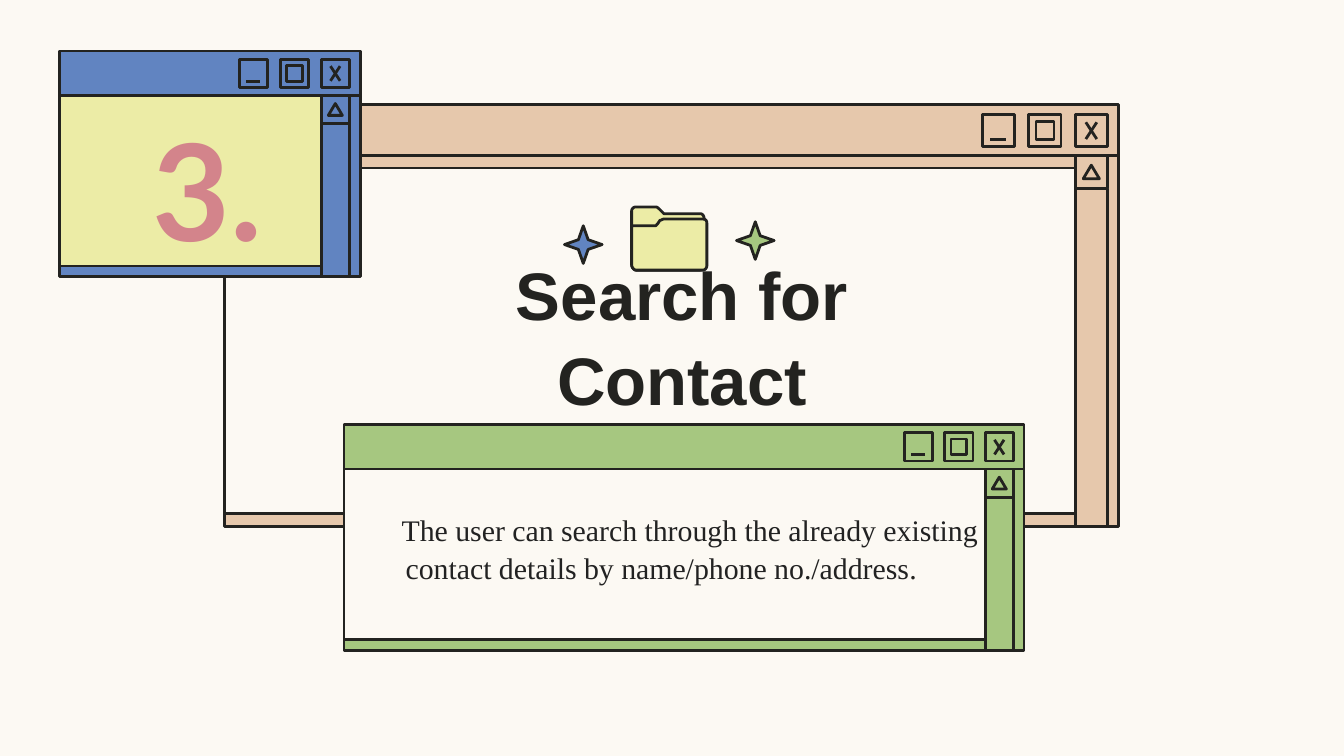
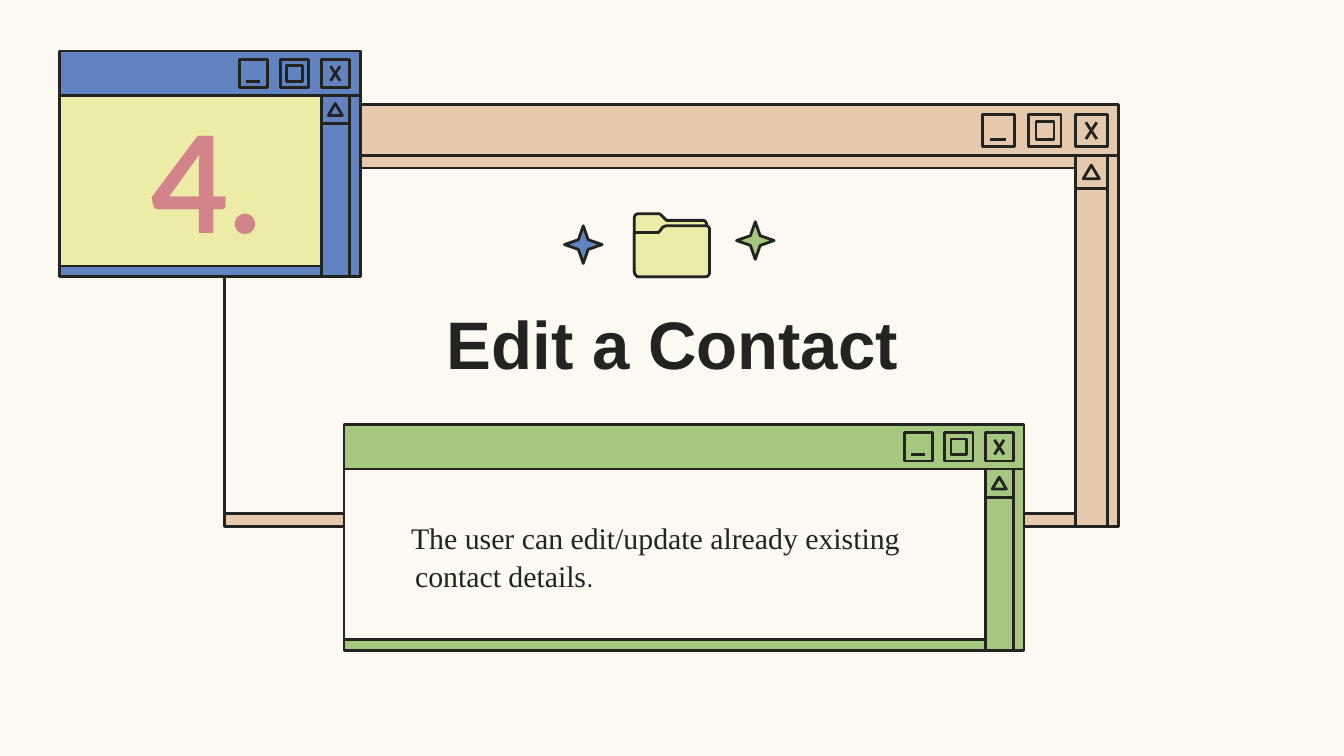
from dataclasses import dataclass
from typing import Any, NamedTuple

from lxml.etree import SubElement
from pptx import Presentation
from pptx.dml.color import RGBColor
from pptx.enum.shapes import MSO_CONNECTOR, MSO_SHAPE as Preset
from pptx.enum.text import MSO_ANCHOR as Anchor, MSO_AUTO_SIZE as AutoSize, PP_ALIGN as Align
from pptx.oxml.ns import qn
from pptx.util import Inches, Pt


# Colours, fonts and sizes
@dataclass(frozen=True)
class Theme:
    paper: str = "FCF9F3"
    ink: str = "232320"
    body_ink: str = "222222"
    peach: str = "E6C8AC"
    green: str = "A6C780"
    blue: str = "6184C1"
    yellow: str = "ECECA6"
    rose: str = "D3848B"
    sans: str = "Arial"
    serif: str = "Times New Roman"
    display: str = "Lato"
    title_size: int = 36
    number_size: int = 72
    body_size: int = 16
    small_size: int = 14
    outline_width: float = 1.5
    line_spacing: float = 1.05


THEME = Theme()


class Box(NamedTuple):
    left: float
    top: float
    width: float
    height: float


class TextRun(NamedTuple):
    text: str
    size: int
    font: str
    color: str
    bold: bool = False


@dataclass(frozen=True)
class TextBlock:
    box: Box
    runs: tuple[TextRun, ...]
    align: Align = Align.CENTER
    side_inset: float = 0.1
    bottom_inset: float = 0.1
    margin: float = 0
    indent: float = 0


@dataclass(frozen=True)
class Window:
    left: float
    top: float
    width: float
    bar_height: float
    body_height: float
    button: float
    pitch: float
    rail_offset: float
    pane_gap: float
    pane_height: float
    color: str
    pane_color: str = THEME.paper


@dataclass(frozen=True)
class FeatureSlide:
    title: TextBlock
    number: TextBlock
    body: TextBlock
    folder_left: float
    folder_top: float


WINDOWS = (
    Window(1.67, 0.78, 6.65, 0.38, 2.76, 0.24, 0.345, 0.32, 0.09, 2.57, THEME.peach),
    Window(2.56, 3.16, 5.06, 0.33, 1.35, 0.21, 0.3, 0.29, 0, 1.27, THEME.green),
    Window(0.44, 0.38, 2.24, 0.33, 1.35, 0.21, 0.305, 0.29, 0, 1.27, THEME.blue, THEME.yellow),
)
SPARKLES = (
    (Box(5.48, 1.65, 0.28, 0.28), THEME.green),
    (Box(4.2, 1.68, 0.28, 0.28), THEME.blue),
)
# Folder outlines: pairs are corners, six values are a Bézier curve
FOLDER_BACK = (
    (0.03, 0), (0.02, 0, 0, 0.01, 0, 0.03), (0, 0.43),
    (0, 0.45, 0.02, 0.47, 0.03, 0.47), (0.51, 0.47),
    (0.53, 0.47, 0.54, 0.45, 0.54, 0.43), (0.54, 0.09),
    (0.54, 0.07, 0.53, 0.05, 0.51, 0.05), (0.24, 0.05),
    (0.24, 0.05, 0.22, 0.03, 0.21, 0.02), (0.2, 0.01, 0.19, 0, 0.18, 0),
)
FOLDER_FRONT = (
    (0.24, 0.09), (0.23, 0.09, 0.22, 0.1, 0.21, 0.1),
    (0.2, 0.12, 0.18, 0.14, 0.18, 0.14), (0, 0.14), (0, 0.43),
    (0, 0.45, 0.02, 0.47, 0.03, 0.47), (0.53, 0.47),
    (0.55, 0.47, 0.56, 0.45, 0.56, 0.44), (0.56, 0.12),
    (0.56, 0.1, 0.55, 0.09, 0.53, 0.09),
)


def title_block(box: Box, text: str) -> TextBlock:
    run = TextRun(text, THEME.title_size, THEME.sans, THEME.ink, True)
    return TextBlock(box, (run,), bottom_inset=0.7)


def number_block(box: Box, text: str, bottom_inset: float = 0.1) -> TextBlock:
    run = TextRun(text, THEME.number_size, THEME.display, THEME.rose, True)
    return TextBlock(box, (run,), side_inset=0, bottom_inset=bottom_inset)


def body_block(box: Box, *runs: TextRun, bottom_inset: float = 0.1) -> TextBlock:
    return TextBlock(box, runs, Align.LEFT, bottom_inset=bottom_inset, margin=0.5, indent=-0.03)


FEATURES = (
    FeatureSlide(
        title_block(Box(2.75, 2.35, 4.65, 0.87), "Search for Contact"),
        number_block(Box(1.03, 0.91, 1.03, 0.92), "3."),
        body_block(
            Box(2.42, 3.7, 4.97, 1.05),
            TextRun("The user can search through the already existing contact details "
                    "by name/phone no./address",
                    THEME.body_size, THEME.serif, THEME.body_ink),
            TextRun(".", THEME.body_size, THEME.serif, THEME.ink),
            bottom_inset=0.4,
        ),
        4.7, 1.54,
    ),
    FeatureSlide(
        title_block(Box(2.68, 2.4, 4.65, 0.87), "Edit a Contact"),
        number_block(Box(0.78, 0.95, 1.51, 1.98), "4.", 1.36),
        body_block(
            Box(2.49, 3.61, 4.88, 1.05),
            TextRun("The user can edit/update already existing contact details",
                    THEME.body_size, THEME.serif, THEME.ink),
            TextRun(".", THEME.small_size, THEME.sans, THEME.body_ink),
        ),
        4.72, 1.59,
    ),
)


# Formatting helpers
def apply_format(target: Any, values: dict[str, Any]) -> None:
    for name, value in values.items():
        setattr(target, name, value)


def place(shape: Any, box: Box) -> None:
    apply_format(shape, {name: Inches(value) for name, value in box._asdict().items()})


def style_line(line: Any) -> None:
    line.color.rgb = RGBColor.from_string(THEME.ink)
    line.width = Pt(THEME.outline_width)


def style_shape(shape: Any, color: str | None) -> None:
    shape.shadow.inherit = False
    if color:
        shape.fill.solid()
        shape.fill.fore_color.rgb = RGBColor.from_string(color)
    else:
        shape.fill.background()
    style_line(shape.line)


# Drawing helpers
def add_preset(shapes: Any, preset: Preset, box: Box, color: str | None = None,
               adjustments: tuple[float, ...] = ()) -> None:
    shape = shapes.add_shape(preset, *map(Inches, box))
    for index, value in enumerate(adjustments):
        shape.adjustments[index] = value
    style_shape(shape, color)


def add_stroke(shapes: Any, *ends: float) -> None:
    connector = shapes.add_connector(MSO_CONNECTOR.STRAIGHT, *map(Inches, ends))
    style_line(connector.line)
    SubElement(connector.element.spPr, qn("a:effectLst"))


def trace(outline: tuple[tuple[float, ...], ...], steps: int = 5) -> list[tuple[float, float]]:
    points = [outline[0]]
    for segment in outline[1:]:
        if len(segment) == 2:
            points.append(segment)
            continue
        controls = (points[-1], segment[:2], segment[2:4], segment[4:])
        for step in range(1, steps + 1):
            t = step / steps
            weights = ((1 - t) ** 3, 3 * t * (1 - t) ** 2, 3 * t * t * (1 - t), t ** 3)
            points.append(tuple(sum(weight * control[axis]
                                    for weight, control in zip(weights, controls))
                                for axis in (0, 1)))
    return points


def add_folder(slide: Any, left: float, top: float) -> None:
    shapes = slide.shapes.add_group_shape().shapes
    for outline in (FOLDER_BACK, FOLDER_FRONT):
        points = [(Inches(left + x), Inches(top + y)) for x, y in trace(outline)]
        builder = shapes.build_freeform(*points[0])
        builder.add_line_segments(points[1:], close=True)
        style_shape(builder.convert_to_shape(), THEME.yellow)


def add_window(slide: Any, window: Window) -> None:
    shapes = slide.shapes.add_group_shape().shapes
    size = window.button
    body_top = window.top + window.bar_height
    rail_left = window.left + window.width - window.rail_offset

    # Title bar, frame, scroll rail and pane
    add_preset(shapes, Preset.ROUND_2_SAME_RECTANGLE,
               Box(window.left, window.top, window.width, window.bar_height),
               window.color, (0, 0))
    for box, color in (
        (Box(window.left, body_top, window.width, window.body_height), window.color),
        (Box(rail_left, body_top + size, size, window.body_height - size), window.color),
        (Box(window.left, body_top + window.pane_gap,
             window.width - window.rail_offset, window.pane_height), window.pane_color),
    ):
        add_preset(shapes, Preset.RECTANGLE, box, color)

    # Close, maximise and minimise buttons
    button_top = window.top + (window.bar_height - size) / 2
    close, maximise, minimise = (rail_left - index * window.pitch for index in range(3))
    for left in (close, maximise, minimise):
        add_preset(shapes, Preset.RECTANGLE, Box(left, button_top, size, size), window.color)
    inner = 0.56 * size
    margin = (size - inner) / 2
    add_preset(shapes, Preset.RECTANGLE,
               Box(maximise + margin, button_top + margin, inner, inner))
    for left, x1, y1, x2, y2 in (
        (close, 0.33, 0.25, 0.67, 0.77),
        (close, 0.67, 0.25, 0.33, 0.77),
        (minimise, 0.73, 0.78, 0.23, 0.78),
    ):
        add_stroke(shapes, left + x1 * size, button_top + y1 * size,
                   left + x2 * size, button_top + y2 * size)

    # Scroll arrow
    add_preset(shapes, Preset.RECTANGLE, Box(rail_left, body_top, size, size), window.color)
    add_preset(shapes, Preset.ISOSCELES_TRIANGLE,
               Box(rail_left + size / 4, body_top + 0.29 * size, size / 2, 0.42 * size))


def write_text(shape: Any, block: TextBlock) -> None:
    place(shape, block.box)
    frame = shape.text_frame
    apply_format(frame, {
        "word_wrap": True, "auto_size": AutoSize.NONE, "vertical_anchor": Anchor.MIDDLE,
        "margin_left": Inches(block.side_inset), "margin_right": Inches(block.side_inset),
        "margin_top": Inches(0.1), "margin_bottom": Inches(block.bottom_inset),
    })
    paragraph = frame.paragraphs[0]
    apply_format(paragraph, {"alignment": block.align, "line_spacing": THEME.line_spacing,
                             "space_before": Pt(0), "space_after": Pt(0)})
    if block.margin:
        properties = paragraph._p.get_or_add_pPr()
        properties.set("marL", str(Inches(block.margin)))
        properties.set("indent", str(Inches(block.indent)))
    for item in block.runs:
        run = paragraph.add_run()
        run.text = item.text
        apply_format(run.font, {"size": Pt(item.size), "name": item.font, "bold": item.bold})
        run.font.color.rgb = RGBColor.from_string(item.color)


def add_feature_slide(presentation: Any, feature: FeatureSlide) -> None:
    slide = presentation.slides.add_slide(presentation.slide_layouts[5])
    for window in WINDOWS:
        add_window(slide, window)

    # The title moves in front of the windows
    title = slide.shapes.title
    title.element.getparent().append(title.element)
    write_text(title, feature.title)
    for block in (feature.body, feature.number):
        write_text(slide.shapes.add_textbox(*map(Inches, block.box)), block)

    for box, color in SPARKLES:
        add_preset(slide.shapes, Preset.STAR_4_POINT, box, color, (0.182,))
    add_folder(slide, feature.folder_left, feature.folder_top)


def main() -> None:
    presentation = Presentation()
    apply_format(presentation, {"slide_width": Inches(10), "slide_height": Inches(5.625)})
    background = presentation.slide_master.background.fill
    background.solid()
    background.fore_color.rgb = RGBColor.from_string(THEME.paper)
    for feature in FEATURES:
        add_feature_slide(presentation, feature)
    presentation.save("out.pptx")


if __name__ == "__main__":
    main()
